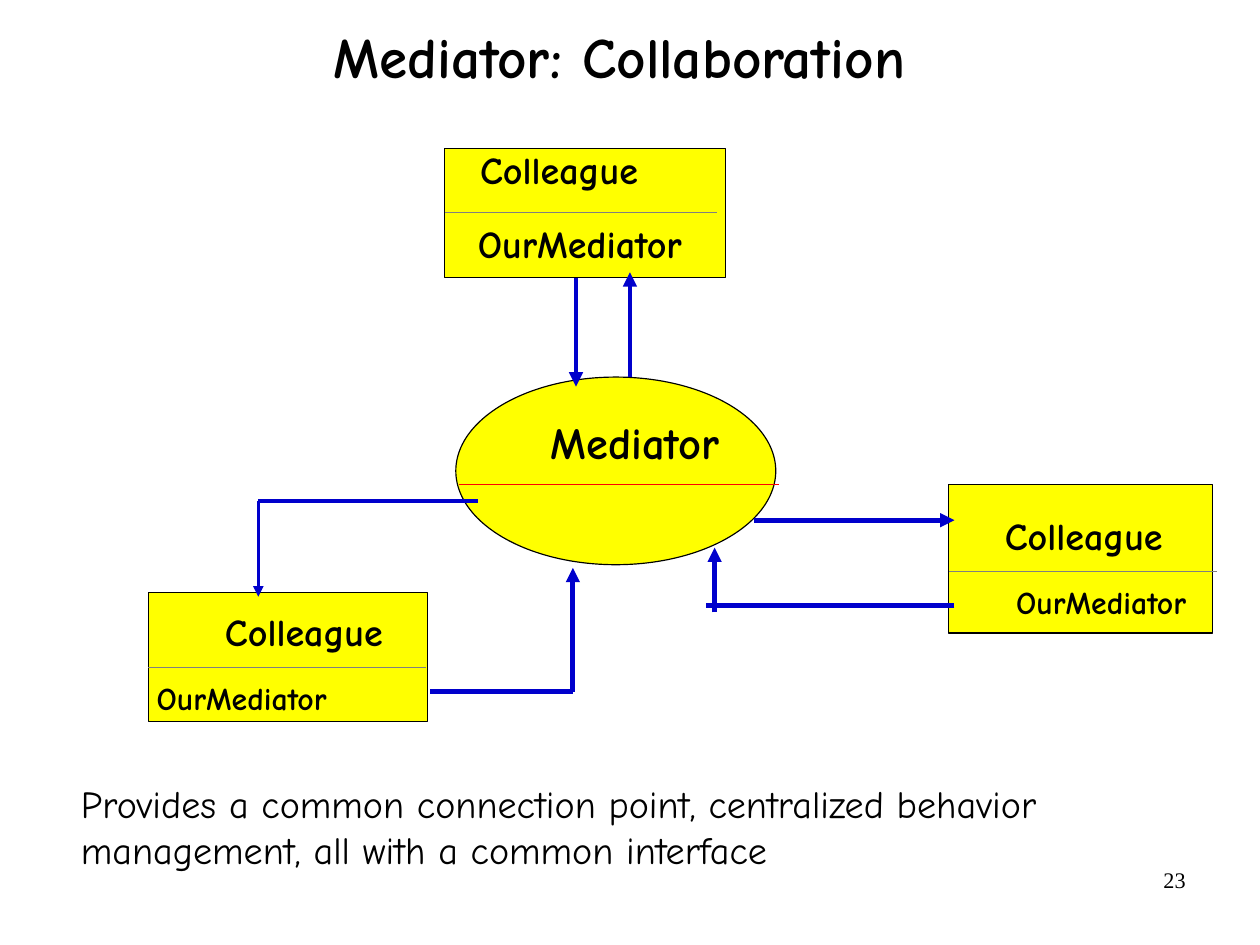
from dataclasses import dataclass
from itertools import pairwise

from lxml import etree
from pptx import Presentation
from pptx.dml.color import RGBColor
from pptx.enum.shapes import MSO_CONNECTOR, MSO_SHAPE
from pptx.enum.text import MSO_ANCHOR, MSO_AUTO_SIZE, PP_ALIGN
from pptx.oxml.ns import qn
from pptx.util import Cm, Pt

STRAIGHT = MSO_CONNECTOR.STRAIGHT
RECTANGLE, OVAL = MSO_SHAPE.RECTANGLE, MSO_SHAPE.OVAL
LEFT, CENTER, RIGHT = PP_ALIGN.LEFT, PP_ALIGN.CENTER, PP_ALIGN.RIGHT
TOP, MIDDLE = MSO_ANCHOR.TOP, MSO_ANCHOR.MIDDLE
NO_AUTOFIT = MSO_AUTO_SIZE.NONE
TITLE_ONLY = 5


@dataclass(frozen=True)
class Theme:
    font: str = "Comic Neue"
    number_font: str = "Times New Roman"
    ink: RGBColor = RGBColor(0, 0, 0)
    node: RGBColor = RGBColor(255, 255, 0)
    message: RGBColor = RGBColor(0, 0, 204)
    divider: RGBColor = RGBColor(128, 128, 128)
    mediator_divider: RGBColor = RGBColor(255, 0, 0)
    title: int = 36
    mediator: int = 28
    body: int = 24
    small: int = 20
    number: int = 14
    hairline: float = 0.75


THEME = Theme()


@dataclass(frozen=True)
class Box:
    """A region of the page, in centimetres."""
    left: float
    top: float
    width: float
    height: float

    def inner(self, left, top, width, height):
        return Box(self.left + left, self.top + top, width, height)

    def lengths(self):
        return [Cm(v) for v in (self.left, self.top, self.width, self.height)]


def write_text(shape, text, size=THEME.body, font=THEME.font, bold=False,
               align=LEFT, anchor=TOP, wrap=True, inset=(0.28, 0.15),
               line_spacing=None):
    frame = shape.text_frame
    frame.auto_size = NO_AUTOFIT
    frame.word_wrap = wrap
    frame.vertical_anchor = anchor
    frame.margin_left = frame.margin_right = Cm(inset[0])
    frame.margin_top = frame.margin_bottom = Cm(inset[1])
    para = frame.paragraphs[0]
    para.alignment = align
    if line_spacing:
        para.line_spacing = line_spacing
    span = para.add_run()
    span.text = text
    span.font.name = font
    span.font.size = Pt(size)
    span.font.bold = bold
    span.font.color.rgb = THEME.ink


def add_text(page, box, text, **style):
    write_text(page.shapes.add_textbox(*box.lengths()), text, **style)


def add_line(page, start, end, color, width=THEME.hairline, arrow=False):
    line = page.shapes.add_connector(STRAIGHT, *[Cm(v) for v in (*start, *end)])
    line.line.color.rgb = color
    line.line.width = Pt(width)
    if arrow:
        etree.SubElement(line.line._get_or_add_ln(), qn("a:tailEnd"), type="triangle")
    etree.SubElement(line._element.spPr, qn("a:effectLst"))


def add_title(page, box, text):
    title = page.shapes.title
    title.left, title.top, title.width, title.height = box.lengths()
    write_text(title, text, size=THEME.title, bold=True, align=CENTER,
               anchor=MIDDLE, inset=(0, 0), line_spacing=0.88)


def add_node(page, box, outline, divider, divider_color, labels):
    """Draw an outlined node; divider is (left, top, length) inside it."""
    node = page.shapes.add_shape(outline, *box.lengths())
    node.shadow.inherit = False
    node.fill.solid()
    node.fill.fore_color.rgb = THEME.node
    node.line.color.rgb = THEME.ink
    node.line.width = Pt(THEME.hairline)

    left, top, length = divider
    start = (box.left + left, box.top + top)
    add_line(page, start, (start[0] + length, start[1]), divider_color)

    for text, size, place in labels:
        add_text(page, box.inner(*place), text, size=size, bold=True, wrap=False)


def add_colleague(page, box, divider, name_at, field_at, field_size):
    name = ("Colleague", THEME.body, (*name_at, 4.06, 1.3))
    field = ("OurMediator", field_size, (*field_at, 5.1, 1.2))
    add_node(page, box, RECTANGLE, divider, THEME.divider, [name, field])


def add_mediator(page, box):
    label = ("Mediator", THEME.mediator, (1.83, 0.69, 4.32, 1.47))
    add_node(page, box, OVAL, (0.08, 2.39, 7.11), THEME.mediator_divider, [label])


def add_messages(page, box):
    """Draw the message routes, measured from the mediator's corner."""
    routes = [
        # Top colleague
        ([(2.67, -2.21), (2.67, 0.21)], 3, True),
        ([(3.87, 0), (3.87, -2.33)], 3, True),
        # Left colleague
        ([(0.49, 2.75), (-4.39, 2.75), (-4.39, 4.88)], 2.25, True),
        ([(-0.58, 6.99), (2.6, 6.99), (2.6, 4.24)], 3, True),
        # Right colleague
        ([(11.08, 5.08), (5.57, 5.08)], 3, False),
        ([(5.75, 5.23), (5.75, 3.79)], 3, True),
        ([(6.63, 3.18), (11.08, 3.18)], 3, True),
    ]
    for points, width, arrow in routes:
        corners = [(box.left + x, box.top + y) for x, y in points]
        for start, end in pairwise(corners):
            add_line(page, start, end, THEME.message, width,
                     arrow=arrow and end == corners[-1])


def main():
    deck = Presentation()
    deck.slide_width, deck.slide_height = Cm(28), Cm(21)
    page = deck.slides.add_slide(deck.slide_layouts[TITLE_ONLY])

    add_title(page, Box(0.64, -0.3, 26.24, 3.3), "Mediator: Collaboration")

    # Nodes
    mediator = Box(10.13, 8.38, 7.11, 4.17)
    add_mediator(page, mediator)
    add_colleague(page, Box(9.88, 3.3, 6.25, 2.87), (0, 1.42, 6.05),
                  (0.51, -0.2), (0.46, 1.45), THEME.body)
    add_colleague(page, Box(3.3, 13.16, 6.2, 2.87), (0, 1.67, 6.17),
                  (1.42, 0.2), (-0.1, 1.78), THEME.small)
    add_colleague(page, Box(21.08, 10.77, 5.87, 3.3), (0, 1.93, 5.97),
                  (0.97, 0.46), (1.22, 2.03), THEME.small)
    add_messages(page, mediator)

    # Summary and page number
    add_text(page, Box(1.52, 17.2, 26.4, 2.31),
             "Provides a common connection point, centralized behavior "
             "management, all with a common interface")
    add_text(page, Box(20.07, 19.13, 6.53, 1.45), "23", size=THEME.number,
             font=THEME.number_font, align=RIGHT, inset=(0.25, 0.13))

    deck.save("out.pptx")


if __name__ == "__main__":
    main()
